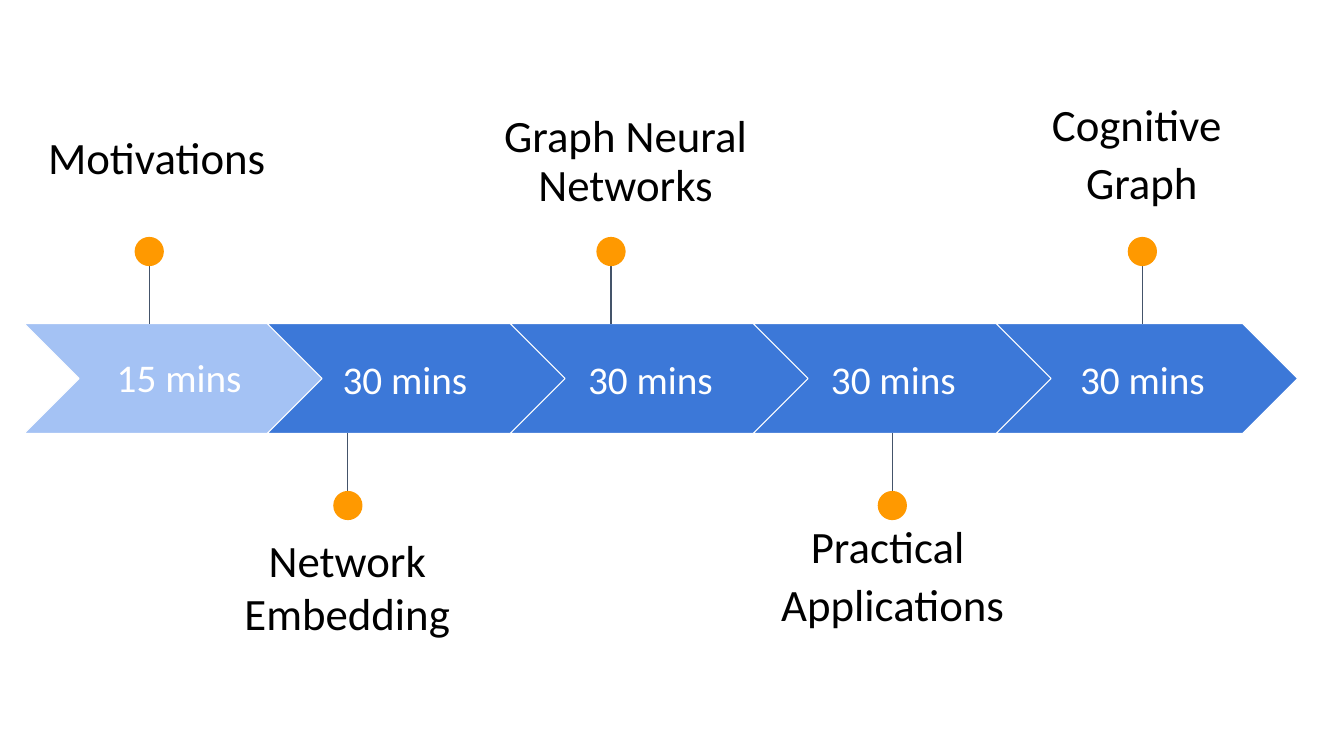
from dataclasses import dataclass

from lxml.etree import SubElement
from pptx import Presentation
from pptx.dml.color import RGBColor
from pptx.enum.shapes import MSO_CONNECTOR, MSO_SHAPE
from pptx.enum.text import MSO_ANCHOR, PP_ALIGN
from pptx.oxml.ns import qn
from pptx.slide import Slide
from pptx.util import Inches, Pt

BAR_LEFT, BAR_TOP, BAR_HEIGHT, PITCH = 0.24, 3.21, 1.09, 2.41
STEM, DOT, INSET = 0.57, 0.29, 0.13
BLUE, PALE_BLUE = "3C78D8", "A4C2F4"
ORANGE, SLATE, WHITE, BLACK = "FF9900", "44546A", "FFFFFF", "000000"


@dataclass
class Stage:
    label: str
    label_left: float
    label_top: float
    label_width: float
    marker_x: float
    duration: str
    duration_left: float
    above: bool
    label_after: float = 21.3
    label_spacing: float = 1.0
    fill: str = BLUE
    width: float = 2.99
    duration_top: float = 3.41


STAGES = [
    Stage("Motivations", -0.08, 1.16, 3.27, 1.48, "15 mins ", 0.86, True,
          fill=PALE_BLUE, width=2.97, duration_top=3.39),
    Stage("Network Embedding", 1.81, 5.15, 3.27, 3.45, "30 mins ", 3.1, False),
    Stage("Graph Neural Networks", 3.98, 1, 4.45, 6.06, "30 mins", 5.49, True,
          label_spacing=0.9),
    Stage("Practical \nApplications", 6.63, 5.02, 4.45, 8.85, "30 mins", 7.9, False,
          label_after=2.7),
    Stage("Cognitive \nGraph", 9.69, 0.83, 3.27, 11.33, "30 mins", 10.37, True,
          label_after=2.7),
]


def rgb(value: str) -> RGBColor:
    return RGBColor.from_string(value)


def add_text(s: Slide, text: str, *, left: float, top: float, width: float,
             height: float, size: float, color: str, after: float = 0,
             spacing: float = 1.0, anchor: MSO_ANCHOR = MSO_ANCHOR.TOP) -> None:
    sp = s.shapes.add_textbox(Inches(left), Inches(top), Inches(width), Inches(height))
    tf = sp.text_frame
    tf.word_wrap = True
    tf.vertical_anchor = anchor
    tf.margin_left = tf.margin_right = tf.margin_top = tf.margin_bottom = Inches(INSET)
    tf.text = text
    for p in tf.paragraphs:
        p.alignment = PP_ALIGN.CENTER
        p.space_after = Pt(after)
        p.line_spacing = spacing
        for r in p.runs:
            r.font.name = "Calibri"
            r.font.size = Pt(size)
            r.font.color.rgb = rgb(color)


def add_chevron(s: Slide, stage: Stage, index: int) -> None:
    sp = s.shapes.add_shape(MSO_SHAPE.CHEVRON, Inches(BAR_LEFT + PITCH * index),
                            Inches(BAR_TOP), Inches(stage.width), Inches(BAR_HEIGHT))
    sp.shadow.inherit = False
    sp.adjustments[0] = 0.5
    sp.fill.solid()
    sp.fill.fore_color.rgb = rgb(stage.fill)
    sp.line.color.rgb = rgb(WHITE)
    sp.line.width = Pt(0.75)


def add_marker(s: Slide, stage: Stage) -> None:
    edge = BAR_TOP if stage.above else BAR_TOP + BAR_HEIGHT
    tip = edge - STEM if stage.above else edge + STEM
    x = Inches(stage.marker_x)
    stem = s.shapes.add_connector(MSO_CONNECTOR.STRAIGHT, x, Inches(tip), x, Inches(edge))
    stem.line.color.rgb = rgb(SLATE)
    stem.line.width = Pt(0.75)
    SubElement(stem._element.spPr, qn("a:effectLst"))

    dot_top = tip - DOT if stage.above else tip
    dot = s.shapes.add_shape(MSO_SHAPE.OVAL, Inches(stage.marker_x - DOT / 2),
                             Inches(dot_top), Inches(DOT), Inches(DOT))
    dot.shadow.inherit = False
    dot.fill.solid()
    dot.fill.fore_color.rgb = rgb(ORANGE)
    dot.line.fill.background()


def add_stage(s: Slide, stage: Stage, index: int) -> None:
    add_chevron(s, stage, index)
    add_marker(s, stage)
    add_text(s, stage.duration, left=stage.duration_left, top=stage.duration_top,
             width=1.92, height=0.69, size=28, color=WHITE, anchor=MSO_ANCHOR.MIDDLE)
    add_text(s, stage.label, left=stage.label_left, top=stage.label_top,
             width=stage.label_width, height=1.32, size=32, color=BLACK,
             after=stage.label_after, spacing=stage.label_spacing)


def main() -> None:
    prs = Presentation()
    prs.slide_width, prs.slide_height = Inches(13.33), Inches(7.5)
    s = prs.slides.add_slide(prs.slide_layouts[6])
    for index, stage in enumerate(STAGES):
        add_stage(s, stage, index)
    prs.save("out.pptx")


if __name__ == "__main__":
    main()
